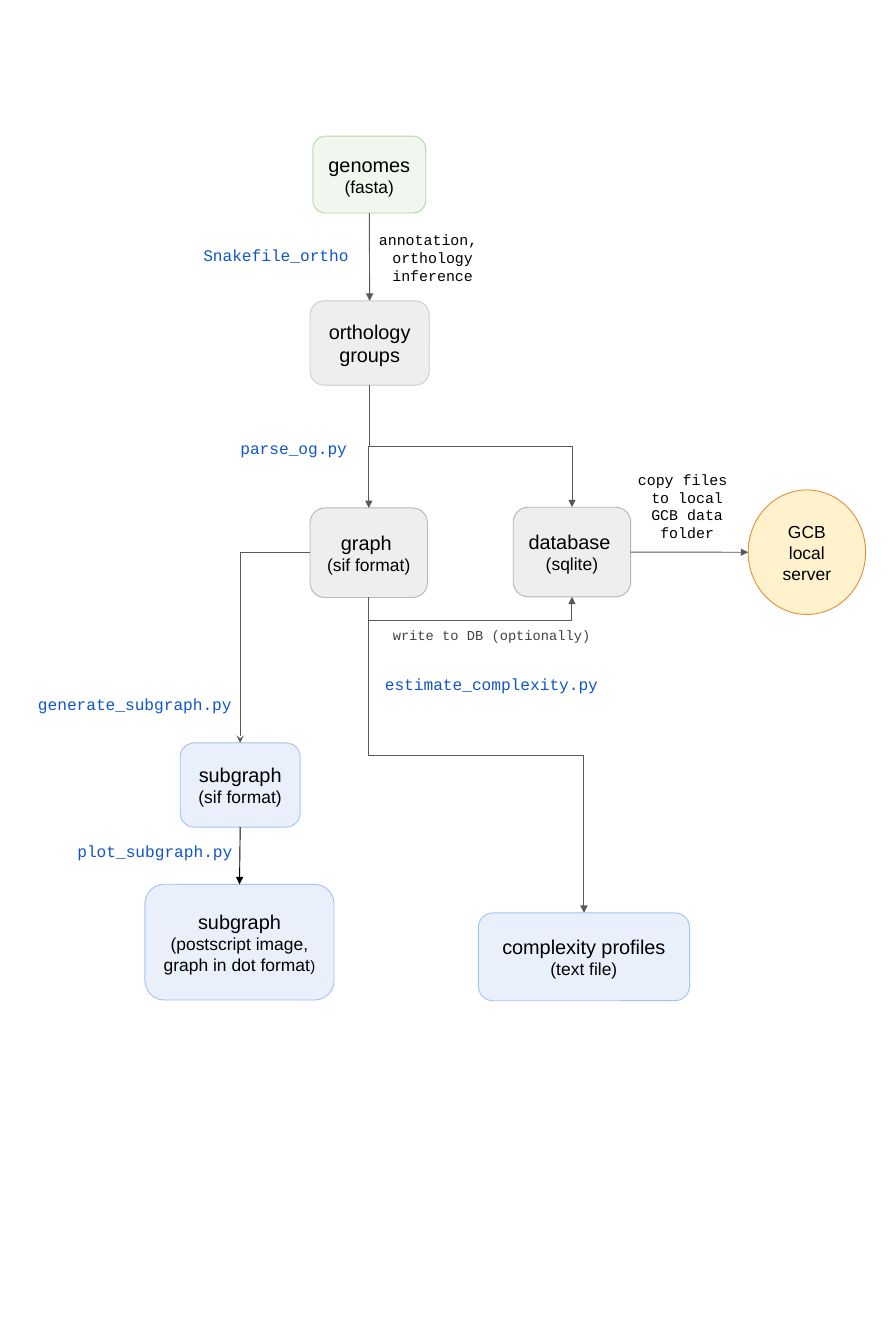
import pptx
import pptx.dml.color
import pptx.enum.shapes
import pptx.enum.text
import pptx.oxml.ns
import pptx.util
from lxml import etree

Cm, Pt = pptx.util.Cm, pptx.util.Pt
RGBColor = pptx.dml.color.RGBColor
MSO_SHAPE = pptx.enum.shapes.MSO_SHAPE
MSO_CONNECTOR = pptx.enum.shapes.MSO_CONNECTOR
qn = pptx.oxml.ns.qn

BLACK = RGBColor(0x00, 0x00, 0x00)
ARROW_GRAY = RGBColor(0x59, 0x59, 0x59)
NOTE_GRAY = RGBColor(0x43, 0x43, 0x43)
SCRIPT_BLUE = RGBColor(0x11, 0x55, 0xCC)

# Node styles: fill, opacity in percent, outline
INPUT = (RGBColor(0xD9, 0xEA, 0xD3), 35, RGBColor(0xB6, 0xD7, 0xA8))
GROUPS = (RGBColor(0xEE, 0xEE, 0xEE), 100, RGBColor(0xCC, 0xCC, 0xCC))
STORE = (RGBColor(0xEE, 0xEE, 0xEE), 100, RGBColor(0xB7, 0xB7, 0xB7))
RESULT = (RGBColor(0xC9, 0xDA, 0xF8), 40, RGBColor(0xA4, 0xC2, 0xF4))
SERVER = (RGBColor(0xFF, 0xF2, 0xCC), 100, RGBColor(0xE6, 0x91, 0x38))

TOP, LEFT, BOTTOM, RIGHT = range(4)
ELLIPSE_LEFT = 2  # ellipses have eight connection sites


def place(origin, box):
    """Turn a box in cm, relative to origin, into slide lengths."""
    left, top, width, height = box
    return Cm(origin[0] + left), Cm(origin[1] + top), Cm(width), Cm(height)


def write(shape, paragraphs, font_name, color):
    """Fill a shape with centred paragraphs of (text, size) runs."""
    frame = shape.text_frame
    frame.word_wrap = True
    frame.margin_left = frame.margin_right = Cm(0.25)
    frame.margin_top = frame.margin_bottom = Cm(0.25)
    for index, runs in enumerate(paragraphs):
        paragraph = frame.add_paragraph() if index else frame.paragraphs[0]
        paragraph.alignment = pptx.enum.text.PP_ALIGN.CENTER
        for text, size in runs:
            run = paragraph.add_run()
            run.text = text
            run.font.name = font_name
            run.font.size = Pt(size)
            run.font.color.rgb = color


def add_node(slide, origin, box, style, *paragraphs, kind=MSO_SHAPE.ROUNDED_RECTANGLE):
    """Add a filled node with its text."""
    fill, opacity, outline = style
    node = slide.shapes.add_shape(kind, *place(origin, box))
    node.shadow.inherit = False
    node.fill.solid()
    node.fill.fore_color.rgb = fill
    if opacity < 100:
        color = node.fill._xPr.find(".//" + qn("a:srgbClr"))
        etree.SubElement(color, qn("a:alpha"), val=str(opacity * 1000))
    node.line.color.rgb = outline
    node.line.width = Pt(0.75)
    node.text_frame.vertical_anchor = pptx.enum.text.MSO_ANCHOR.MIDDLE
    write(node, paragraphs, "Arial", BLACK)
    return node


def add_label(slide, origin, box, *lines, size=13, color=SCRIPT_BLUE):
    """Add a monospaced label beside an arrow."""
    label = slide.shapes.add_textbox(*place(origin, box))
    write(label, [[(line, size)] for line in lines], "Courier New", color)


def site(node, side):
    """Return the middle of one side of a node."""
    middle_x, middle_y = node.left + node.width // 2, node.top + node.height // 2
    return {
        TOP: (middle_x, node.top),
        LEFT: (node.left, middle_y),
        BOTTOM: (middle_x, node.top + node.height),
        RIGHT: (node.left + node.width, middle_y),
    }[side]


def add_arrow(slide, start, start_side, end, end_side, kind=MSO_CONNECTOR.STRAIGHT,
              color=ARROW_GRAY, head="triangle", end_site=None):
    """Join two nodes with an arrow glued to both."""
    points = site(start, start_side) + site(end, end_side)
    arrow = slide.shapes.add_connector(kind, *points)
    arrow.begin_connect(start, start_side)
    arrow.end_connect(end, end_side)
    if end_site is not None:
        arrow._element.find(".//" + qn("a:endCxn")).set("idx", str(end_site))
    arrow.line.color.rgb = color
    arrow.line.width = Pt(0.75)
    etree.SubElement(arrow.line._get_or_add_ln(), qn("a:tailEnd"), type=head)
    etree.SubElement(arrow._element.spPr, qn("a:effectLst"))
    return arrow


def add_vertical_elbow(slide, start, end, end_side, turn=None):
    """Add an arrow leaving downwards that turns halfway, or turn below its start."""
    arrow = add_arrow(slide, start, BOTTOM, end, end_side, MSO_CONNECTOR.ELBOW)
    (x1, y1), (x2, y2) = site(start, BOTTOM), site(end, end_side)
    run, rise = abs(x2 - x1), abs(y2 - y1)
    arrow.left, arrow.top = (x1 + x2 - rise) // 2, (y1 + y2 - run) // 2
    arrow.width, arrow.height = rise, run
    frame = arrow._element.spPr.find(qn("a:xfrm"))
    frame.set("rot", str(90 * 60000))
    frame.set("flipH", str(int(y2 < y1)))
    frame.set("flipV", str(int(x2 > x1)))
    if turn is not None:
        guides = arrow._element.spPr.find(qn("a:prstGeom")).get_or_add_avLst()
        share = round(turn / (y2 - y1) * 100000)
        etree.SubElement(guides, qn("a:gd"), name="adj1", fmla=f"val {share}")


def draw_inference(slide, origin):
    """Draw genomes leading to orthology groups; return the groups."""
    genomes = add_node(slide, origin, (3.36, 0, 3.2, 2.18), INPUT,
                       [("genomes ", 16), ("(fasta)", 14)])
    groups = add_node(slide, origin, (3.28, 4.67, 3.38, 2.39), GROUPS,
                      [("orthology groups", 16)])
    add_arrow(slide, genomes, BOTTOM, groups, TOP)
    add_label(slide, origin, (4.95, 2.44, 3.61, 1.45),
              "annotation, ", "orthology inference", size=12, color=BLACK)
    add_label(slide, origin, (0, 2.85, 4.62, 1.91), "Snakefile_ortho")
    return groups


def draw_storage(slide, origin, groups):
    """Draw graph, database and server; return the graph."""
    graph = add_node(slide, origin, (2.41, 2.21, 3.33, 2.54), STORE,
                     [("graph", 16), (" ", 14)], [("(sif format)", 14)])
    database = add_node(slide, origin, (8.17, 2.19, 3.33, 2.54), STORE,
                        [("database", 16), (" ", 14)], [("(sqlite)", 14)])
    server = add_node(slide, origin, (14.83, 1.7, 3.33, 3.53), SERVER,
                      [("GCB local server", 14)], kind=MSO_SHAPE.OVAL)
    for store in (graph, database):
        add_vertical_elbow(slide, groups, store, TOP)
    add_vertical_elbow(slide, graph, database, BOTTOM, turn=Cm(0.64))
    add_arrow(slide, database, RIGHT, server, LEFT, end_site=ELLIPSE_LEFT)
    add_label(slide, origin, (0, 0, 3.89, 1.47), "parse_og.py")
    add_label(slide, origin, (4.08, 5.36, 6.96, 0.69),
              "write to DB (optionally)", size=11, color=NOTE_GRAY)
    add_label(slide, origin, (11.45, 0.89, 3.3, 1.93),
              "copy files ", "to local GCB data folder", size=12, color=BLACK)
    return graph


def draw_subgraphs(slide, origin, graph):
    """Draw the branch that extracts and plots a subgraph."""
    subgraph = add_node(slide, origin, (4.35, 1.63, 3.4, 2.39), RESULT,
                        [("subgraph", 16)], [("(sif format)", 14)])
    plot = add_node(slide, origin, (3.35, 5.64, 5.36, 3.28), RESULT,
                    [("subgraph", 16)],
                    [("(postscript image, graph in dot format", 14), (")", 12)])
    branch = add_arrow(slide, graph, LEFT, subgraph, TOP, MSO_CONNECTOR.ELBOW,
                       head="stealth")
    branch._element.spPr.find(qn("a:prstGeom")).set("prst", "bentConnector2")
    add_arrow(slide, subgraph, BOTTOM, plot, TOP, color=BLACK)
    add_label(slide, origin, (0, 0, 6.12, 1.96), "generate_subgraph.py")
    add_label(slide, origin, (1.14, 4.17, 4.98, 1.47), "plot_subgraph.py")


def draw_complexity(slide, origin, graph):
    """Draw the branch that estimates complexity profiles."""
    profiles = add_node(slide, origin, (3.35, 7.01, 5.99, 2.49), RESULT,
                        [("complexity profiles ", 16), ("(text file)", 14)])
    add_vertical_elbow(slide, graph, profiles, TOP)
    add_label(slide, origin, (0, 0, 7.44, 1.47), "estimate_complexity.py")


def main():
    """Build the workflow slide."""
    presentation = pptx.Presentation()
    presentation.slide_width, presentation.slide_height = Cm(25.4), Cm(38.1)
    slide = presentation.slides.add_slide(presentation.slide_layouts[6])
    groups = draw_inference(slide, (5.51, 3.86))
    graph = draw_storage(slide, (6.38, 12.19), groups)
    draw_subgraphs(slide, (0.76, 19.43), graph)
    draw_complexity(slide, (10.21, 18.87), graph)
    presentation.save("out.pptx")


main()
